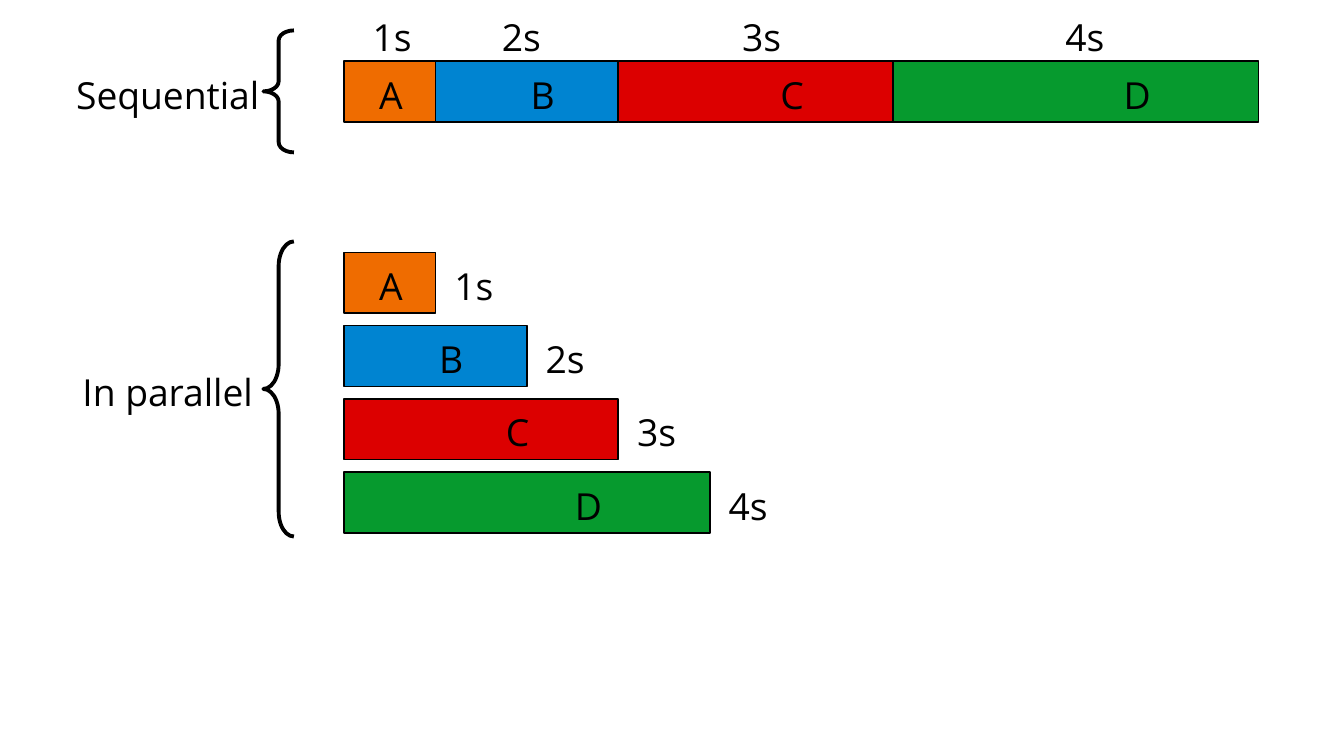
from dataclasses import dataclass

from pptx import Presentation
from pptx.dml.color import RGBColor
from pptx.enum.shapes import MSO_SHAPE as Shape
from pptx.enum.text import MSO_AUTO_SIZE as Fit, PP_ALIGN as Align
from pptx.slide import Slide
from pptx.util import Inches, Pt

BLACK = RGBColor(0x00, 0x00, 0x00)
WHITE = RGBColor(0xFF, 0xFF, 0xFF)
ORANGE = RGBColor(0xEF, 0x6C, 0x00)
BLUE = RGBColor(0x00, 0x84, 0xD1)
RED = RGBColor(0xDC, 0x00, 0x00)
GREEN = RGBColor(0x06, 0x9A, 0x2E)

FONT = "Open Sans"
SECOND = 0.75  # width of one second
HIGH = 0.5  # height of a bar
LEFT = 2.82
SERIAL_TOP = 0.5
STACK_TOP = 2.07
STEP = 0.6


@dataclass
class Task:
    name: str
    secs: int
    color: RGBColor
    name_x: float  # name box, from the start of the bar
    name_w: float
    time_x: float  # time box above the bar, from its start

    @property
    def width(self) -> float:
        return self.secs * SECOND


@dataclass
class Group:
    label: str
    label_y: float
    top: float
    height: float
    curve: float


TASKS = [
    Task("A", 1, ORANGE, 0.19, 0.32, 0.11),
    Task("B", 2, BLUE, 0.56, 0.64, 0.42),
    Task("C", 3, RED, 0.95, 0.95, 0.89),
    Task("D", 4, GREEN, 1.37, 1.27, 1.29),
]
GROUPS = [
    Group("Sequential", 0.54, 0.25, 1, 0.33),
    Group("In parallel", 2.98, 1.98, 2.42, 0.81),
]


def add_text(slide: Slide, text: str, x: float, y: float, width: float) -> None:
    box = slide.shapes.add_textbox(Inches(x), Inches(y), Inches(width), Inches(0.52))
    frame = box.text_frame
    frame.word_wrap = True
    frame.auto_size = Fit.SHAPE_TO_FIT_TEXT
    frame.text = text
    line = frame.paragraphs[0]
    line.alignment = Align.CENTER
    line.font.name = FONT
    line.font.size = Pt(22)
    line.font.color.rgb = BLACK


def add_bar(slide: Slide, task: Task, x: float, y: float) -> None:
    bar = slide.shapes.add_shape(
        Shape.RECTANGLE, Inches(x), Inches(y), Inches(task.width), Inches(HIGH))
    bar.shadow.inherit = False
    bar.fill.solid()
    bar.fill.fore_color.rgb = task.color
    bar.line.color.rgb = BLACK
    bar.line.width = Pt(1)
    add_text(slide, task.name, x + task.name_x, y + 0.04, task.name_w)


def add_time(slide: Slide, task: Task, x: float, y: float) -> None:
    add_text(slide, f"{task.secs}s", x, y, 0.57)


def add_group(slide: Slide, group: Group) -> None:
    add_text(slide, group.label, 0.25, group.label_y, 2.25)
    brace = slide.shapes.add_shape(
        Shape.LEFT_BRACE, Inches(2.16), Inches(group.top), Inches(0.25), Inches(group.height))
    brace.adjustments[0] = group.curve
    brace.shadow.inherit = False
    brace.fill.background()
    brace.line.color.rgb = BLACK
    brace.line.width = Pt(2.3)


def main() -> None:
    deck = Presentation()
    deck.slide_width = Inches(11.02)
    deck.slide_height = Inches(6.2)
    slide = deck.slides.add_slide(deck.slide_layouts[6])
    slide.background.fill.solid()
    slide.background.fill.fore_color.rgb = WHITE

    # Labels and braces
    for group in GROUPS:
        add_group(slide, group)

    # Tasks one after another
    x = LEFT
    for task in TASKS:
        add_bar(slide, task, x, SERIAL_TOP)
        add_time(slide, task, x + task.time_x, 0.07)
        x += task.width

    # Tasks side by side in time
    for row, task in enumerate(TASKS):
        y = STACK_TOP + row * STEP
        add_bar(slide, task, LEFT, y)
        add_time(slide, task, LEFT + task.width + 0.03, y + 0.04)

    deck.save("out.pptx")


if __name__ == "__main__":
    main()
